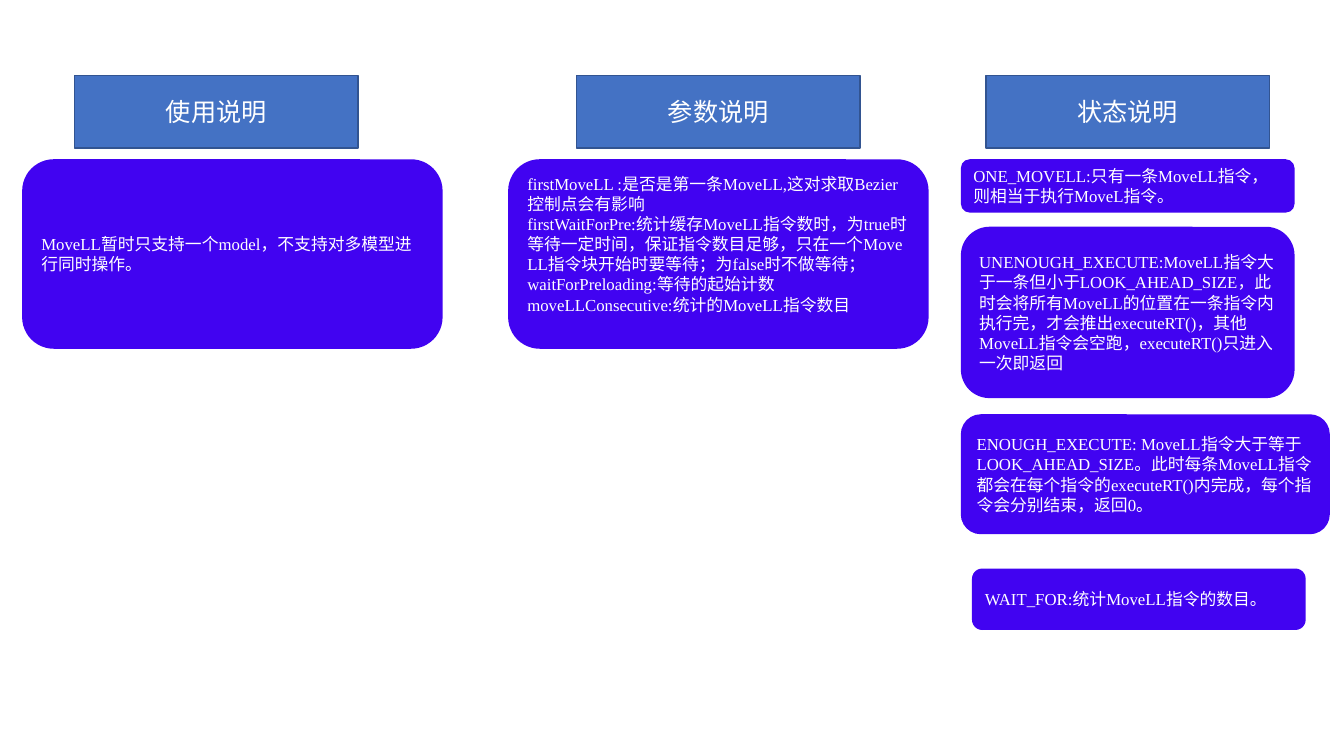
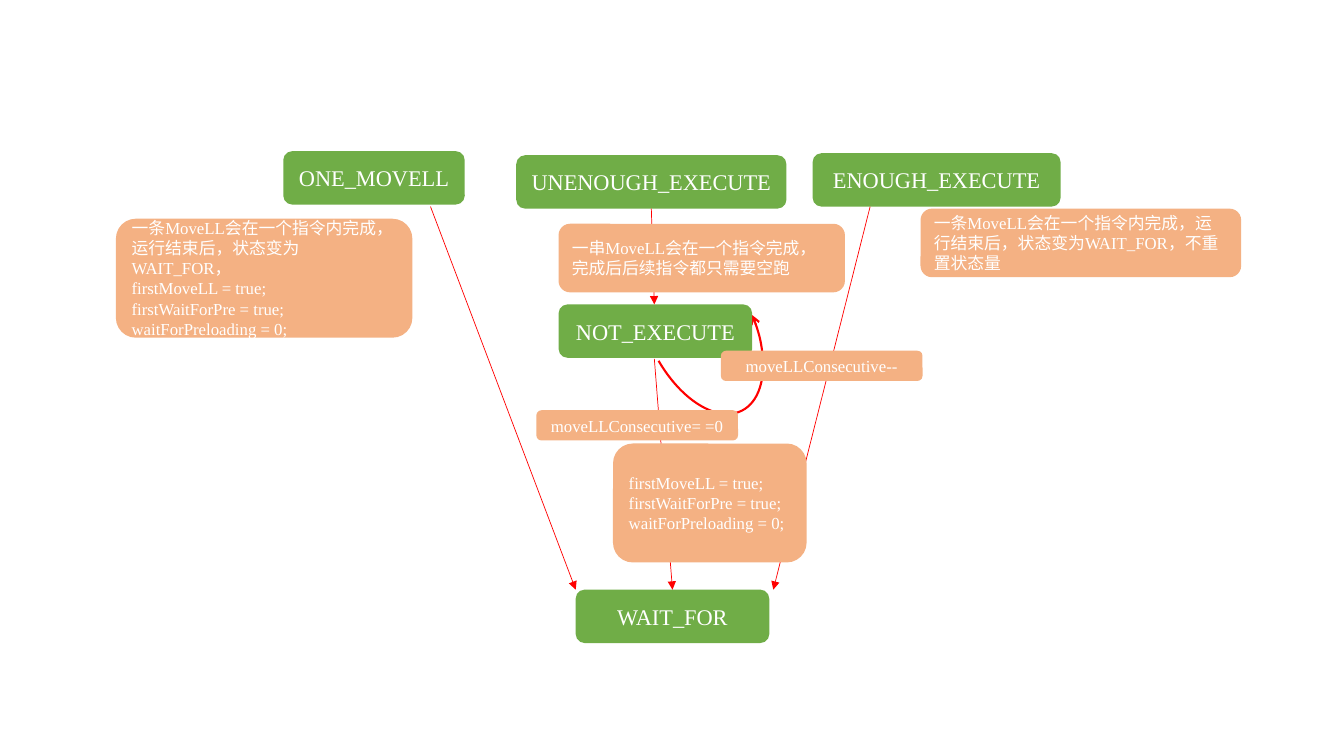
from pptx import Presentation, util as u
from pptx.dml.color import RGBColor
from pptx.enum import shapes as s, text as t
from pptx.oxml.ns import qn
from lxml import etree

# Shared look
HUE = {"head": "4472C4", "edge": "325491", "card": "4103F1", "state": "70AD47",
       "note": "F4B183", "line": "FF0000", "text": "FFFFFF"}
LATIN, HAN = "Times New Roman", "Noto Sans CJK SC"
KIND = {
    "head": {"size": 18, "font": HAN, "mid": True, "edge": "edge"},
    "card": {"size": 12, "font": LATIN, "mid": False, "edge": None},
    "state": {"size": 16, "font": LATIN, "mid": True, "edge": None},
    "note": {"size": 12, "font": LATIN, "mid": False, "edge": None},
}

# Slide 1: heading, heading left, cards as (left, top, width, height, lines)
TOP = 1.58
GUIDE = [
    ("使用说明", 0.74, [
        (0.22, TOP, 4.17, 1.88, ["MoveLL暂时只支持一个model，不支持对多模型进行同时操作。"])]),
    ("参数说明", 5.72, [
        (5.04, TOP, 4.17, 1.88, [
            "firstMoveLL :是否是第一条MoveLL,这对求取Bezier控制点会有影响",
            "firstWaitForPre:统计缓存MoveLL指令数时，为true时等待一定时间，"
            "保证指令数目足够，只在一个Move LL指令块开始时要等待；为false时不做等待；",
            "waitForPreloading:等待的起始计数",
            "moveLLConsecutive:统计的MoveLL指令数目"])]),
    ("状态说明", 9.78, [
        (9.53, TOP, 3.31, 0.53, ["ONE_MOVELL:只有一条MoveLL指令，则相当于执行MoveL指令。"]),
        (9.53, 2.25, 3.31, 1.7, [
            "UNENOUGH_EXECUTE:MoveLL指令大于一条但小于LOOK_AHEAD_SIZE，"
            "此时会将所有MoveLL的位置在一条指令内执行完，才会推出executeRT()，"
            "其他MoveLL指令会空跑，executeRT()只进入一次即返回"]),
        (9.53, 4.11, 3.66, 1.19, [
            "ENOUGH_EXECUTE: MoveLL指令大于等于LOOK_AHEAD_SIZE。"
            "此时每条MoveLL指令都会在每个指令的executeRT()内完成，"
            "每个指令会分别结束，返回0。"]),
        (9.64, 5.64, 3.31, 0.61, ["WAIT_FOR:统计MoveLL指令的数目。"])]),
]

# Slide 2: states as (name, left, top, width), arrows, notes
STATES = [
    ("ONE_MOVELL", 2.81, 1.5, 1.8),
    ("UNENOUGH_EXECUTE", 5.12, 1.54, 2.68),
    ("ENOUGH_EXECUTE", 8.06, 1.52, 2.46),
    ("NOT_EXECUTE", 5.54, 3.02, 1.92),
    ("WAIT_FOR", 5.71, 5.85, 1.92),
]
ARROWS = [
    (6.46, 2.07, 6.49, 3.02),
    (4.27, 2.05, 5.71, 5.85),
    (8.63, 2.05, 7.67, 5.85),
    (6.49, 3.56, 6.67, 5.85),
]
RESET = ["firstMoveLL = true;", "firstWaitForPre = true;", "waitForPreloading = 0;"]
NOTES = [
    (1.15, 2.17, 2.94, 1.18,
     ["一条MoveLL会在一个指令内完成，运行结束后，状态变为WAIT_FOR，"] + RESET),
    (9.13, 2.07, 3.18, 0.68,
     ["一条MoveLL会在一个指令内完成，运行结束后，状态变为WAIT_FOR，不重置状态量"]),
    (5.54, 2.22, 2.84, 0.68, ["一串MoveLL会在一个指令完成，完成后后续指令都只需要空跑"]),
    (6.08, 4.4, 1.92, 1.18, RESET),
]
TAGS = [("moveLLConsecutive--", 7.15, 3.48), ("moveLLConsecutive= =0", 5.32, 4.07)]


def rgb(name):
    return RGBColor.from_string(HUE[name])


def box(page, kind, at, lines, **more):
    form = {**KIND[kind], **more}
    shape = s.MSO_SHAPE.RECTANGLE if kind == "head" else s.MSO_SHAPE.ROUNDED_RECTANGLE
    item = page.shapes.add_shape(shape, *map(u.Inches, at))
    item.shadow.inherit = False
    item.fill.solid()
    item.fill.fore_color.rgb = rgb(kind)
    if form["edge"]:
        item.line.color.rgb = rgb(form["edge"])
        item.line.width = u.Pt(1)
    else:
        item.line.fill.background()
    frame = item.text_frame
    look = {"word_wrap": True, "vertical_anchor": t.MSO_ANCHOR.MIDDLE,
            "margin_bottom": u.Inches(form.get("foot", 0.05))}
    for key, val in look.items():
        setattr(frame, key, val)
    for i, line in enumerate(lines):
        para = frame.add_paragraph() if i else frame.paragraphs[0]
        para.alignment = t.PP_ALIGN.CENTER if form["mid"] else t.PP_ALIGN.LEFT
        run = para.add_run()
        run.text = line
        run.font.color.rgb = rgb("text")
        for key, val in {"size": u.Pt(form["size"]), "name": form["font"]}.items():
            setattr(run.font, key, val)
        etree.SubElement(run.font._element, qn("a:ea"), typeface=HAN)


def stroke(item, width, end, tip):
    item.line.color.rgb = rgb("line")
    item.line.width = u.Pt(width)
    etree.SubElement(item.line._get_or_add_ln(), qn("a:" + end), type=tip)


def arrow(page, x1, y1, x2, y2):
    item = page.shapes.add_connector(s.MSO_CONNECTOR.STRAIGHT,
                                     *map(u.Inches, (x1, y1, x2, y2)))
    stroke(item, 0.5, "tailEnd", "triangle")
    etree.SubElement(item._element.spPr, qn("a:effectLst"))


deck = Presentation()
deck.slide_width, deck.slide_height = u.Inches(13.33), u.Inches(7.5)
guide, flow = [deck.slides.add_slide(deck.slide_layouts[6]) for _ in range(2)]

# Guide columns
for title, left, cards in GUIDE:
    box(guide, "head", (left, 0.75, 2.81, 0.72), [title])
    for *at, lines in cards:
        # The long list sits a little above the middle of its card
        box(guide, "card", at, lines, foot=0.25 if len(lines) > 1 else 0.05)

# Loop back to NOT_EXECUTE
loop = flow.shapes.add_shape(s.MSO_SHAPE.ARC, *map(u.Inches, (6.43, 2.35, 1.04, 1.82)))
loop.shadow.inherit = False
loop.rotation = 153.4
loop.adjustments[0], loop.adjustments[1] = 115.12, 209.54
loop.fill.background()
stroke(loop, 1.5, "headEnd", "arrow")

# State flow
for name, left, top, wide in STATES:
    box(flow, "state", (left, top, wide, 0.53), [name])
for ends in ARROWS:
    arrow(flow, *ends)
for *at, lines in NOTES:
    box(flow, "note", at, lines)
for name, left, top in TAGS:
    box(flow, "note", (left, top, 2, 0.3), [name], mid=True)

deck.save("out.pptx")
